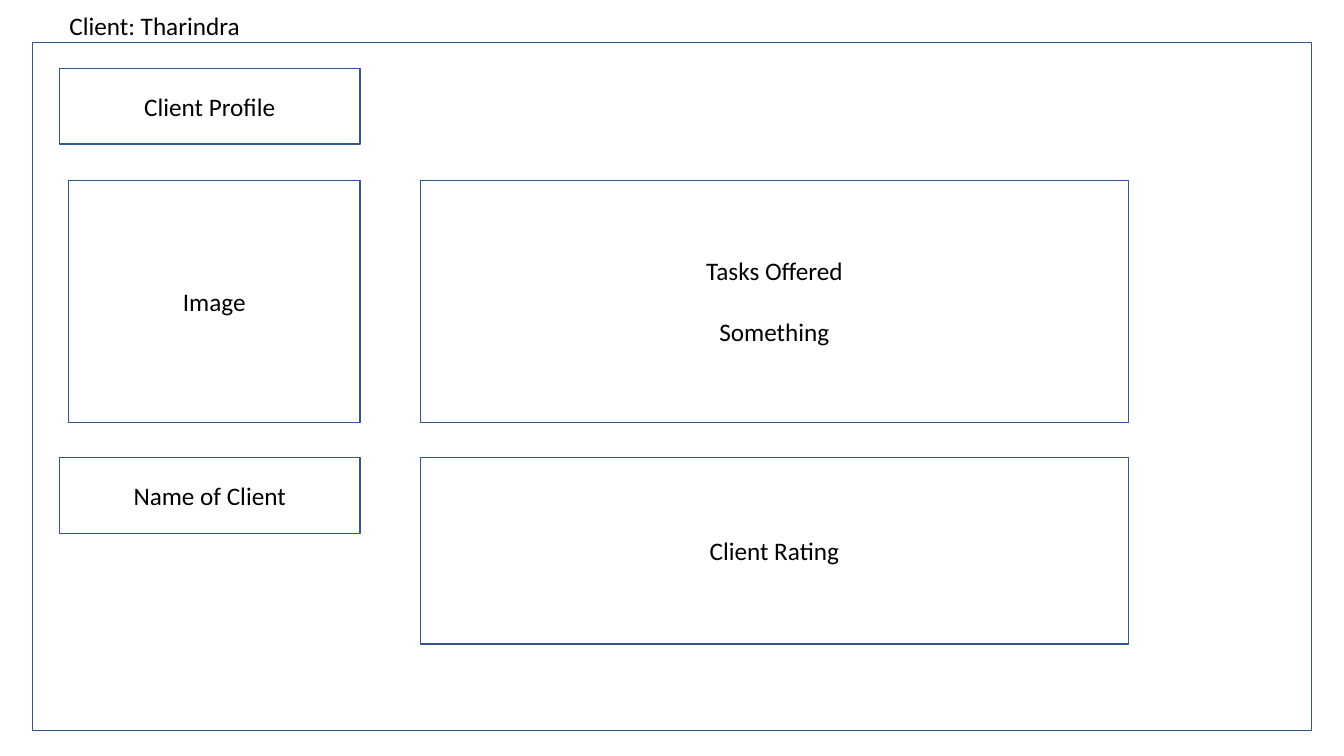
import pptx
import pptx.dml.color
import pptx.enum.shapes
import pptx.enum.text
import pptx.util

Inches = pptx.util.Inches
Pt = pptx.util.Pt
KIND = pptx.enum.shapes.MSO_SHAPE
ALIGN = pptx.enum.text.PP_ALIGN
MIDDLE = pptx.enum.text.MSO_ANCHOR.MIDDLE

LEFT, WIDE = 0.59, 2.98
RIGHT, SPAN = 4.17, 7.02
UPPER, LOWER = 1.79, 4.54
FONT = {"name": "Calibri", "size": Pt(18)}
FRAME = {"word_wrap": True, "vertical_anchor": MIDDLE}
LABEL = {"word_wrap": True, "auto_size": pptx.enum.text.MSO_AUTO_SIZE.SHAPE_TO_FIT_TEXT}


def color(code):
    return pptx.dml.color.RGBColor.from_string(code)


def apply(item, values):
    for name, value in values.items():
        setattr(item, name, value)


def write(frame, lines, align, style):
    apply(frame, style)
    for index, line in enumerate(lines):
        para = frame.add_paragraph() if index else frame.paragraphs[0]
        para.alignment = align
        if index:
            para.space_before = Pt(22)
        run = para.add_run()
        run.text = line
        apply(run.font, FONT)
        run.font.color.rgb = color("000000")


def add_box(slide, kind, place, *lines):
    box = slide.shapes.add_shape(kind, *map(Inches, place))
    box.shadow.inherit = False
    box.fill.solid()
    box.fill.fore_color.rgb = color("FFFFFF")
    box.line.color.rgb = color("325491")
    box.line.width = Pt(1)
    write(box.text_frame, lines, ALIGN.CENTER, FRAME)


def add_label(slide, place, text):
    label = slide.shapes.add_textbox(*map(Inches, place))
    write(label.text_frame, [text], ALIGN.LEFT, LABEL)


def main():
    deck = pptx.Presentation()
    apply(deck, {"slide_width": Inches(13.33), "slide_height": Inches(7.5)})
    slide = deck.slides.add_slide(deck.slide_layouts[6])
    step = KIND.FLOWCHART_PROCESS
    add_box(slide, step, (0.32, 0.42, 12.69, 6.83))
    add_box(slide, KIND.RECTANGLE, (LEFT, 0.68, WIDE, 0.75), "Client Profile")
    add_box(slide, step, (0.68, UPPER, 2.89, 2.4), "Image")
    add_box(slide, step, (RIGHT, UPPER, SPAN, 2.4), "Tasks Offered", "Something")
    add_box(slide, KIND.RECTANGLE, (LEFT, LOWER, WIDE, 0.75), "Name of Client")
    add_box(slide, step, (RIGHT, LOWER, SPAN, 1.85), "Client Rating")
    add_label(slide, (LEFT, 0.05, 2.11, 0.4), "Client: Tharindra")
    deck.save("out.pptx")


if __name__ == "__main__":
    main()
